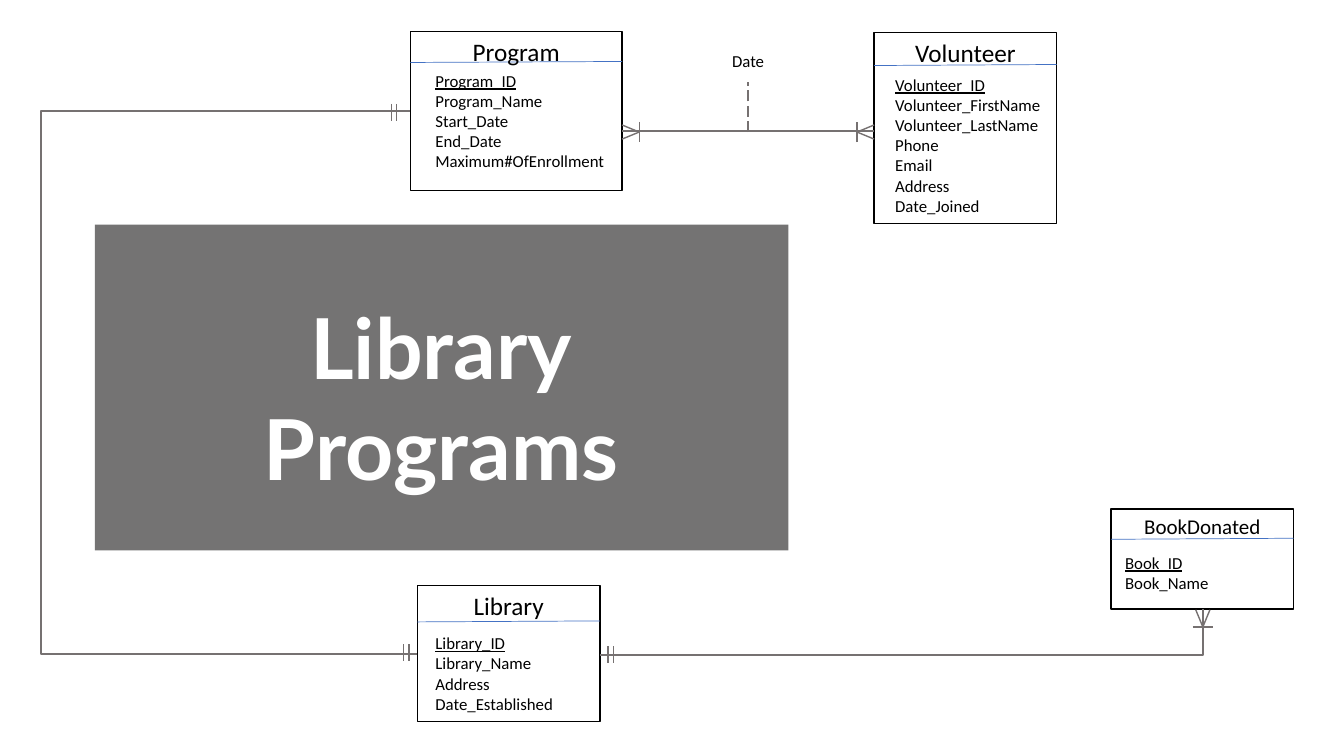
import lxml.etree
import pptx
import pptx.dml.color
import pptx.enum.dml
import pptx.enum.shapes
import pptx.enum.text
import pptx.oxml.ns
import pptx.util

BLACK = pptx.dml.color.RGBColor(0x00, 0x00, 0x00)
WHITE = pptx.dml.color.RGBColor(0xFF, 0xFF, 0xFF)
BLUE = pptx.dml.color.RGBColor(0x44, 0x72, 0xC4)
GRAY = pptx.dml.color.RGBColor(0x76, 0x71, 0x71)
CHARCOAL = pptx.dml.color.RGBColor(0x18, 0x17, 0x17)

CELL = pptx.util.Inches(0.1)
LEFT = pptx.enum.text.PP_ALIGN.LEFT
CENTER = pptx.enum.text.PP_ALIGN.CENTER
STRAIGHT = pptx.enum.shapes.MSO_CONNECTOR.STRAIGHT
ELBOW = pptx.enum.shapes.MSO_CONNECTOR.ELBOW

ENTITIES = [
    {"name": "Program", "box": (40.7, 3.1, 21, 15.8), "rule": 3.1, "list": (1.5, 3.4), "size": 18,
     "attributes": ["Program_ID", "Program_Name", "Start_Date", "End_Date", "Maximum#OfEnrollment"]},
    {"name": "Library", "box": (41.4, 58.1, 18.1, 13.5), "rule": 3.6, "list": (0.8, 4.2), "size": 18,
     "attributes": ["Library_ID", "Library_Name", "Address", "Date_Established"]},
    {"name": "Volunteer", "box": (86.7, 3.2, 18.1, 19), "rule": 3.3, "list": (1.1, 3.7), "size": 18,
     "attributes": ["Volunteer_ID", "Volunteer_FirstName", "Volunteer_LastName", "Phone", "Email",
                    "Address", "Date_Joined"]},
    {"name": "BookDonated", "box": (110.2, 50.5, 18.1, 9.9), "rule": 3, "list": (0.4, 3.8), "size": 15,
     "attributes": ["Book_ID", "Book_Name"]},
]


def cells(*values):
    return [round(value * CELL) for value in values]


class Diagram:
    font = {"name": "Calibri", "size": pptx.util.Pt(12), "color": BLACK}

    def __init__(self, slide):
        self.slide = slide

    def rectangle(self, box):
        shape = self.slide.shapes.add_shape(pptx.enum.shapes.MSO_SHAPE.RECTANGLE, *cells(*box))
        shape.shadow.inherit = False
        return shape

    def outline(self, box):
        shape = self.rectangle(box)
        shape.fill.background()
        shape.line.color.rgb = BLACK
        shape.line.width = pptx.util.Pt(1)

    def panel(self, box, color, opacity):
        shape = self.rectangle(box)
        shape.fill.solid()
        shape.fill.fore_color.rgb = color
        shape.line.fill.background()
        swatch = shape._element.spPr.find(".//" + pptx.oxml.ns.qn("a:srgbClr"))
        lxml.etree.SubElement(swatch, pptx.oxml.ns.qn("a:alpha"), val=str(opacity * 1000))

    def text(self, box, lines, alignment=CENTER, key_first=False, **changes):
        frame = self.slide.shapes.add_textbox(*cells(*box)).text_frame
        frame.word_wrap = True
        frame.margin_right = 0 if alignment == LEFT else frame.margin_left
        for index, line in enumerate(lines):
            paragraph = frame.paragraphs[0] if index == 0 else frame.add_paragraph()
            paragraph.alignment = alignment
            run = paragraph.add_run()
            run.text = line
            style = {**self.font, "underline": key_first and index == 0, **changes}
            run.font.color.rgb = style.pop("color")
            for attribute, value in style.items():
                setattr(run.font, attribute, value)

    def line(self, start, end, kind=STRAIGHT, color=GRAY, width=1):
        connector = self.slide.shapes.add_connector(kind, *cells(*start, *end))
        connector.line.color.rgb = color
        connector.line.width = pptx.util.Pt(width)
        lxml.etree.SubElement(connector._element.spPr, pptx.oxml.ns.qn("a:effectLst"))
        return connector

    def corner(self, start, end):
        connector = self.line(start, end, ELBOW)
        connector._element.spPr.find(pptx.oxml.ns.qn("a:prstGeom")).set("prst", "bentConnector2")

    def loop(self, start, end, bend):
        geometry = self.line(start, end, ELBOW)._element.spPr.find(pptx.oxml.ns.qn("a:prstGeom"))
        guides = geometry.find(pptx.oxml.ns.qn("a:avLst"))
        share = round((bend - start[0]) / (end[0] - start[0]) * 100000)
        lxml.etree.SubElement(guides, pptx.oxml.ns.qn("a:gd"), name="adj1", fmla=f"val {share}")

    def entity(self, name, box, rule, size, attributes, **offsets):
        left, top, width, height = box
        across, down = offsets["list"]
        self.outline(box)
        self.line((left, top + rule), (left + width, top + rule - 0.1), color=BLUE, width=0.5)
        self.text((left + 0.8, top, width - 1.6, rule), [name], size=pptx.util.Pt(size))
        self.text((left + across, top + down, width - 1.6, 2 * len(attributes) + 1), attributes,
                  LEFT, key_first=True)

    def many(self, x, y, step_x, step_y):
        base = (x + 1.7 * step_x, y + 1.7 * step_y)
        self.line((base[0] - step_y, base[1] - step_x), (base[0] + step_y, base[1] + step_x))
        for spread in (-0.7, 0.7):
            self.line(base, (x + spread * step_y, y + spread * step_x))

    def one(self, x, y):
        for tick in (x, x + 0.55):
            self.line((tick, y - 0.85), (tick, y + 0.85))


def main():
    presentation = pptx.Presentation()
    presentation.slide_width = pptx.util.Inches(13.33)
    presentation.slide_height = pptx.util.Inches(7.5)
    diagram = Diagram(presentation.slides.add_slide(presentation.slide_layouts[6]))

    for entity in ENTITIES:
        diagram.entity(**entity)

    diagram.line((61.7, 13), (86.7, 13))
    diagram.many(61.7, 13.1, 1, 0)
    diagram.many(86.7, 13.1, -1, 0)
    date_link = diagram.line((74.2, 13.1), (74.2, 8.1))
    date_link.line.dash_style = pptx.enum.dml.MSO_LINE.LONG_DASH
    diagram.text((70.2, 4.5, 8, 3), ["Date"])

    diagram.corner((59.5, 65), (119.3, 60.4))
    diagram.many(119.3, 60.5, 0, 1)
    diagram.loop((41.4, 64.9), (40.7, 11), bend=4.1)
    for x, y in [(38.8, 11.15), (40, 64.75), (60.3, 64.95)]:
        diagram.one(x, y)

    diagram.panel((9.4, 22.3, 68.8, 32.3), CHARCOAL, opacity=60)
    diagram.text((18.8, 28.8, 49.9, 21.2), ["Library", "Programs"],
                 name="Lato", size=pptx.util.Pt(60), bold=True, color=WHITE)
    presentation.save("out.pptx")


if __name__ == "__main__":
    main()
